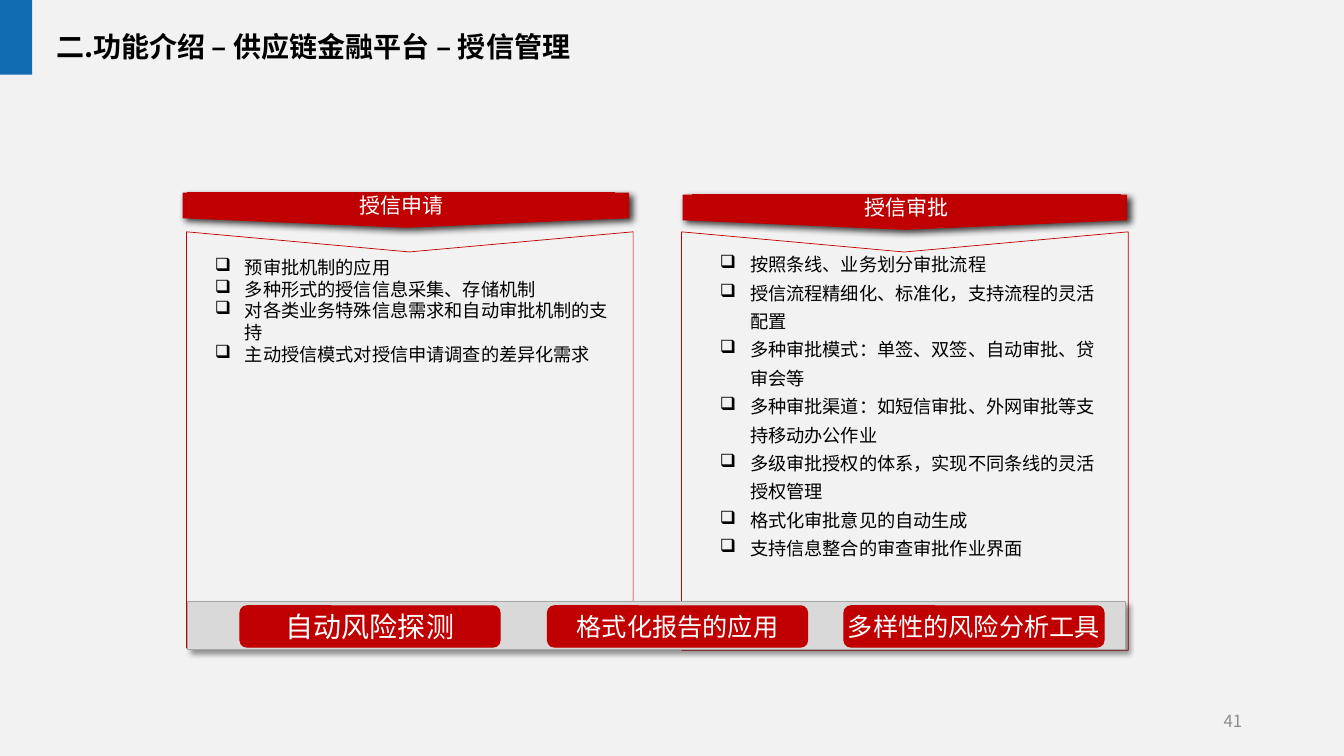
"""Build the credit management slide of the supply chain finance deck."""
from lxml import etree
from pptx import Presentation
from pptx.dml.color import RGBColor
from pptx.enum.shapes import MSO_SHAPE
from pptx.enum.text import MSO_ANCHOR, PP_ALIGN
from pptx.oxml.ns import qn
from pptx.util import Inches, Pt

RECT, ROUND, ARROW = MSO_SHAPE.RECTANGLE, MSO_SHAPE.ROUNDED_RECTANGLE, MSO_SHAPE.PENTAGON
LEFT, MID, RIGHT = PP_ALIGN.LEFT, PP_ALIGN.CENTER, PP_ALIGN.RIGHT
TOP, CENTER = MSO_ANCHOR.TOP, MSO_ANCHOR.MIDDLE
FONT = "Noto Sans CJK SC"
RED, WHITE, BLACK = "C00000", "FFFFFF", "000000"


def paint(shape, fill=None, line=None, width=0.75, shade=None):
    shape.shadow.inherit = False
    if fill:
        shape.fill.solid()
        shape.fill.fore_color.rgb = RGBColor.from_string(fill)
    else:
        shape.fill.background()
    if line:
        shape.line.color.rgb = RGBColor.from_string(line)
        shape.line.width = Pt(width)
    else:
        shape.line.fill.background()
    if shade:
        alpha, blur = shade
        glow = etree.SubElement(
            shape._element.spPr.find(qn("a:effectLst")), qn("a:outerShdw"),
            blurRad=str(Pt(blur)), dist=str(Pt(3)), dir="2700000", algn="tl", rotWithShape="0")
        tint = etree.SubElement(glow, qn("a:srgbClr"), val=BLACK)
        etree.SubElement(tint, qn("a:alpha"), val=str(alpha * 1000))


def write(shape, lines, size, color, align=LEFT, anchor=TOP, inset=None,
          wrap=True, space=None, bold=False, bullet=False):
    frame = shape.text_frame
    frame.word_wrap = wrap
    frame.vertical_anchor = anchor
    if inset is not None:
        frame.margin_left = frame.margin_right = Inches(inset)
        frame.margin_top = frame.margin_bottom = Inches(inset)
    frame.text = "\n".join(lines)
    for para in frame.paragraphs:
        para.alignment = align
        if space:
            para.line_spacing = space
        props = para._p.get_or_add_pPr()
        if bullet:
            para.level = 1
            props.set("marL", str(Inches(0.44)))
            props.set("indent", str(Inches(-0.3)))
            etree.SubElement(props, qn("a:buChar"), char="❑")
        font = para.font
        font.size, font.bold, font.name = Pt(size), bold, FONT
        font.color.rgb = RGBColor.from_string(color)
        etree.SubElement(props.find(qn("a:defRPr")), qn("a:ea"), typeface=FONT)


deck = Presentation()
deck.slide_width, deck.slide_height = Inches(13.33), Inches(7.5)
slide = deck.slides.add_slide(deck.slide_layouts[6])
slide.background.fill.solid()
slide.background.fill.fore_color.rgb = RGBColor.from_string("F2F2F2")
shapes = slide.shapes

page = shapes.add_textbox(Inches(9.42), Inches(6.95), Inches(3), Inches(0.4))
write(page, ["41"], 12, "8C8C8C", RIGHT, CENTER)
mark = shapes.add_shape(RECT, 0, 0, Inches(0.32), Inches(0.74))
paint(mark, "116CB2")
title = shapes.add_textbox(Inches(0.46), Inches(0.28), Inches(8.14), Inches(0.4))
write(title, ["二.功能介绍 – 供应链金融平台 – 授信管理"], 20, BLACK, space=0.9, bold=True)

panels = [
    ("授信申请", (3.85, -0.13, 4.43), (1.86, 1.91), (1.85, 6.43), (1.99, 2.54, 4.14, 1.09), None, [
        "预审批机制的应用",
        "多种形式的授信信息采集、存储机制",
        "对各类业务特殊信息需求和自动审批机制的支持",
        "主动授信模式对授信申请调查的差异化需求",
    ]),
    ("授信审批", (8.8, -0.1, 4.41), (6.87, 1.93), (6.76, 6.45), (7, 2.45, 3.98, 3.6), 1.3, [
        "按照条线、业务划分审批流程",
        "授信流程精细化、标准化，支持流程的灵活配置",
        "多种审批模式：单签、双签、自动审批、贷审会等",
        "多种审批渠道：如短信审批、外网审批等支持移动办公作业",
        "多级审批授权的体系，实现不同条线的灵活授权管理",
        "格式化审批意见的自动生成",
        "支持信息整合的审查审批作业界面",
    ]),
]
for name, (x, y, long), head, (left, base), area, space, points in panels:
    flag = shapes.add_shape(ARROW, Inches(x), Inches(y), Inches(0.35), Inches(long))
    flag.rotation = 90
    flag.adjustments[0] = 0.269
    paint(flag, RED, shade=(75, 5))

    right = left + 4.43
    edge = [(right, 2.3), (left + 2.21, 2.5), (left, 2.3), (left, base)]
    pen = shapes.build_freeform(Inches(right), Inches(base))
    pen.add_line_segments([(Inches(a), Inches(b)) for a, b in edge], close=True)
    paint(pen.convert_to_shape(), line=RED, width=0.5)

    label = shapes.add_shape(RECT, Inches(head[0]), Inches(head[1]), Inches(4.24), Inches(0.25))
    paint(label, RED, RED)
    write(label, [name], 15, WHITE, MID, CENTER, inset=0)

    body = shapes.add_textbox(*[Inches(v) for v in area])
    write(body, points, 13, BLACK, inset=0, space=space, bullet=True)

bar = shapes.add_shape(RECT, Inches(1.86), Inches(5.97), Inches(9.3), Inches(0.47))
paint(bar, "D9D9D9", "A6A6A6", shade=(40, 4))
tools = [(2.38, "自动风险探测", 20), (5.43, "格式化报告的应用", 18), (8.37, "多样性的风险分析工具", 18)]
for x, name, size in tools:
    tool = shapes.add_shape(ROUND, Inches(x), Inches(6.01), Inches(2.58), Inches(0.41))
    paint(tool, RED, RED)
    write(tool, [name], size, WHITE, MID, CENTER, wrap=False)

deck.save("out.pptx")
